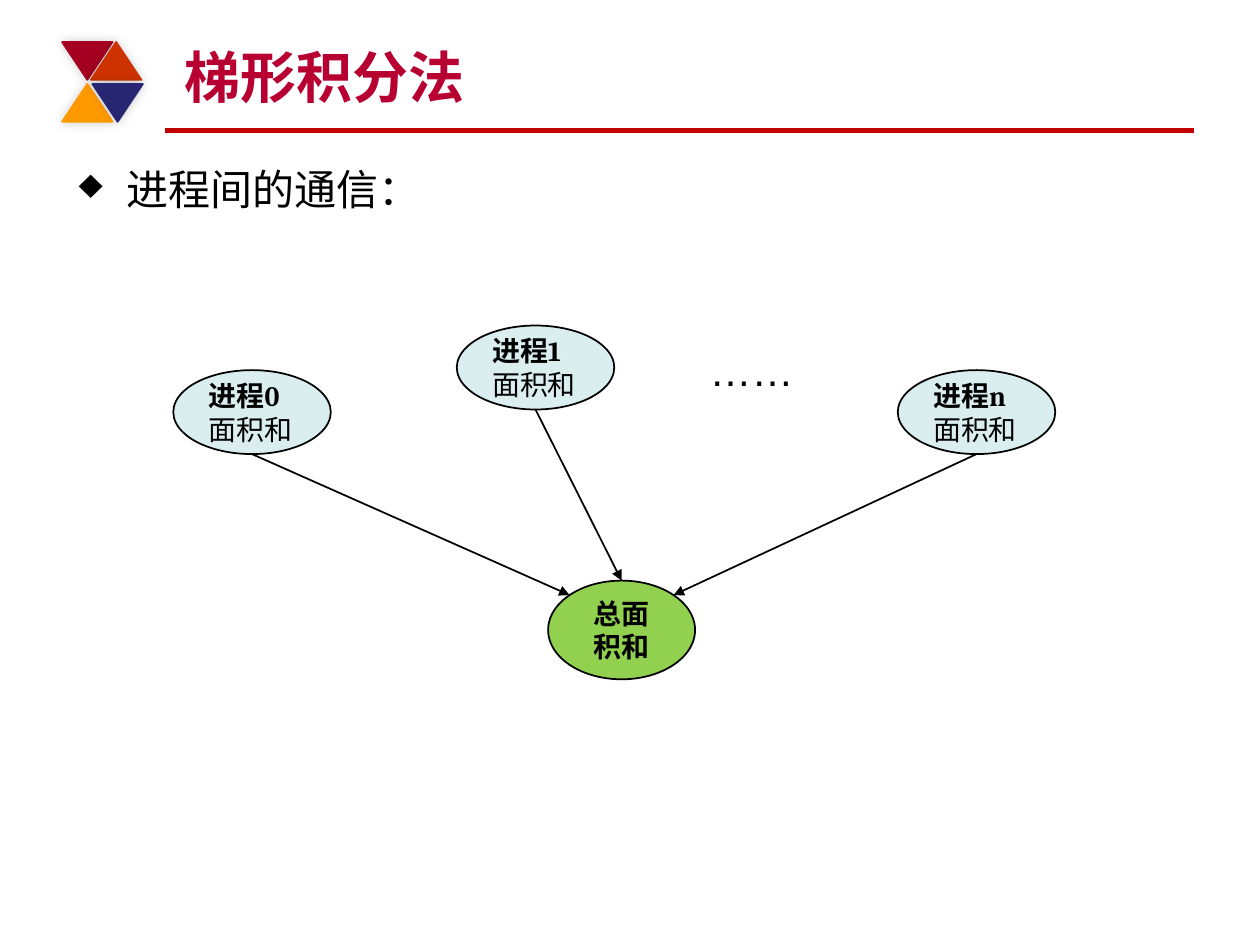
from math import cos, radians, sin

from lxml.etree import SubElement
from pptx import Presentation
from pptx.dml.color import RGBColor
from pptx.enum.shapes import MSO_CONNECTOR, MSO_SHAPE
from pptx.enum.text import MSO_ANCHOR, PP_ALIGN
from pptx.oxml.ns import qn
from pptx.util import Pt


def rgb(value):
    return RGBColor.from_string(value)


def set_attrs(obj, values):
    for name, value in values.items():
        setattr(obj, name, value)


class SlideBuilder:
    black = "000000"
    node_font = {"name": "Cambria", "size": Pt(16)}
    node_size = (90, 48)

    def __init__(self, prs):
        self.s = prs.slides.add_slide(prs.slide_layouts[6])

    def fill_text(self, tf, paragraphs, color=black, anchor=MSO_ANCHOR.TOP,
                  align=PP_ALIGN.LEFT):
        """Fill a frame; each paragraph is a list of (text, font values)."""
        set_attrs(tf, {"word_wrap": True, "vertical_anchor": anchor})
        for i, runs in enumerate(paragraphs):
            p = tf.add_paragraph() if i else tf.paragraphs[0]
            p.alignment = align
            for text, font in runs:
                r = p.add_run()
                r.text = text
                set_attrs(r.font, font)
                r.font.color.rgb = rgb(color)

    def text(self, box, text, font, **style):
        tb = self.s.shapes.add_textbox(*map(Pt, box))
        self.fill_text(tb.text_frame, [[(text, font)]], **style)
        return tb.text_frame.paragraphs[0]

    def bullet(self, box, text, font):
        p = self.text(box, text, font)
        p.space_before = Pt(4.8)
        pPr = p._p.get_or_add_pPr()
        pPr.set("marL", str(Pt(27)))
        pPr.set("indent", str(-Pt(27)))
        SubElement(pPr, qn("a:buChar"), char="♦")

    def shape(self, kind, box, fill, line):
        sp = self.s.shapes.add_shape(kind, *map(Pt, box))
        sp.shadow.inherit = False
        sp.fill.solid()
        sp.fill.fore_color.rgb = rgb(fill)
        sp.line.color.rgb = rgb(line)
        sp.line.width = Pt(1)
        return sp

    def triangle(self, left, top, color, rotation):
        sp = self.shape(MSO_SHAPE.ISOSCELES_TRIANGLE, (left, top, 28.8, 21.6),
                        color, color)
        sp.rotation = rotation
        effects = sp._element.spPr.find(qn("a:effectLst"))
        shadow = SubElement(effects, qn("a:outerShdw"), blurRad=str(Pt(6)),
                            dist="0", dir=str(315 * 60000), rotWithShape="0")
        clr = SubElement(shadow, qn("a:srgbClr"), val=self.black)
        SubElement(clr, qn("a:alpha"), val="20000")

    def node(self, box, fill, paragraphs, align=PP_ALIGN.LEFT):
        sp = self.shape(MSO_SHAPE.OVAL, box, fill, self.black)
        self.fill_text(sp.text_frame,
                       [[(text, {**self.node_font, "bold": bold})
                         for text, bold in runs] for runs in paragraphs],
                       anchor=MSO_ANCHOR.MIDDLE, align=align)

    def line(self, start, end, color=black, width=1, arrow=False):
        c = self.s.shapes.add_connector(MSO_CONNECTOR.STRAIGHT,
                                        *map(Pt, (*start, *end)))
        c.line.color.rgb = rgb(color)
        c.line.width = Pt(width)
        if arrow:
            ln = c._element.spPr.find(qn("a:ln"))
            SubElement(ln, qn("a:tailEnd"), type="triangle")
        SubElement(c._element.spPr, qn("a:effectLst"))


def rim_point(box, degrees):
    """Point on the ellipse in box, clockwise from the right."""
    left, top, w, h = box
    a = radians(degrees)
    return left + w / 2 * (1 + cos(a)), top + h / 2 * (1 + sin(a))


def main():
    prs = Presentation()
    set_attrs(prs, {"slide_width": Pt(720), "slide_height": Pt(540)})
    b = SlideBuilder(prs)

    b.line((94.5, 74.5), (682.5, 74.5), "C00000", 3)
    for left, top, color, rotation in [(35.5, 24, "A50021", 180),
                                       (52, 24, "CC3300", 0),
                                       (35.5, 48, "FF9900", 0),
                                       (52.8, 48, "262673", 180)]:
        b.triangle(left, top, color, rotation)

    b.bullet((38, 90, 644.5, 95), "进程间的通信：",
             {"name": "Arial", "size": Pt(24)})
    b.text((98.5, 18, 576, 48), "梯形积分法",
           {"name": "Times New Roman", "size": Pt(32), "bold": True},
           color="B70031", anchor=MSO_ANCHOR.BOTTOM)

    total = (313.2, 331.8, 84, 56.4)
    area = ("面积和", False)
    processes = [(99, 211.5, [[("进程0", True)], [area]], 225),
                 (261, 186, [[("进程1", True)], [area]], 270),
                 (513, 211.5, [[("进程n", True), area]], 315)]
    for left, top, paragraphs, angle in processes:
        box = (left, top, *b.node_size)
        b.node(box, "DAEDEF", paragraphs)
        b.line(rim_point(box, 90), rim_point(total, angle), arrow=True)
    b.node(total, "92D050", [[("总面积和", True)]], PP_ALIGN.CENTER)
    b.text((398.5, 193.5, 72, 36), "……", {"name": "Arial", "size": Pt(24)})

    prs.save("out.pptx")


if __name__ == "__main__":
    main()
